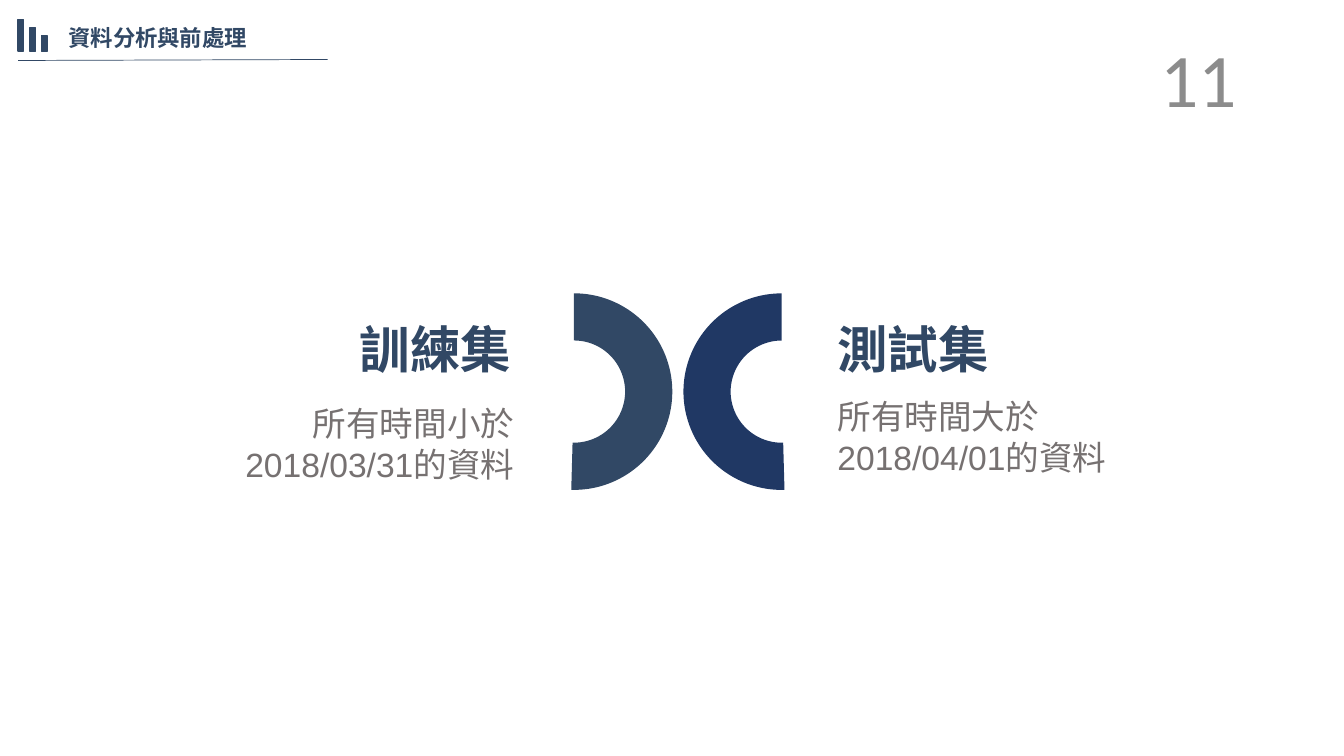
from dataclasses import dataclass

from pptx import Presentation
from pptx.dml.color import RGBColor
from pptx.enum.shapes import MSO_CONNECTOR, MSO_SHAPE
from pptx.enum.text import MSO_ANCHOR, MSO_AUTO_SIZE, PP_ALIGN
from pptx.oxml.ns import qn
from pptx.slide import Slide
from pptx.util import Pt
from lxml import etree

LEFT, RIGHT, JUSTIFY = PP_ALIGN.LEFT, PP_ALIGN.RIGHT, PP_ALIGN.JUSTIFY
TOP, MIDDLE = MSO_ANCHOR.TOP, MSO_ANCHOR.MIDDLE
GROW, FIXED = MSO_AUTO_SIZE.SHAPE_TO_FIT_TEXT, MSO_AUTO_SIZE.NONE
RECTANGLE, BLOCK_ARC = MSO_SHAPE.RECTANGLE, MSO_SHAPE.BLOCK_ARC
STRAIGHT = MSO_CONNECTOR.STRAIGHT

SLATE = RGBColor(0x31, 0x48, 0x65)
NAVY = RGBColor(0x20, 0x38, 0x64)
TEXT_GRAY = RGBColor(0x76, 0x71, 0x71)
NUMBER_GRAY = RGBColor(0x8C, 0x8C, 0x8C)

ARC_TOP, ARC_SIZE = 209.5, 140.4
BAR_LEFT, BAR_STEP, BAR_WIDTH, BAR_BOTTOM = 13, 8.4, 3.8, 36.6
BAR_HEIGHTS = (22.6, 16.8, 11.3)


@dataclass
class Arc:
    left: float
    rotation: float
    color: RGBColor
    adjustments: tuple[float, float, float]


@dataclass
class Label:
    lines: tuple[str, ...]
    left: float
    top: float
    width: float
    height: float
    format: dict[str, object]
    alignment: PP_ALIGN = LEFT
    anchor: MSO_ANCHOR = TOP
    auto_size: MSO_AUTO_SIZE = GROW


HEADING = {"name": "Arial", "size": Pt(36), "bold": True}
BODY = {"name": "Arial", "size": Pt(24)}
SECTION = {"name": "Arial", "size": Pt(16), "bold": True}
NUMBER = {"name": "Calibri", "size": Pt(54)}
FORMAT_COLORS = ((HEADING, SLATE), (BODY, TEXT_GRAY), (SECTION, SLATE), (NUMBER, NUMBER_GRAY))
for text_format, text_color in FORMAT_COLORS:
    text_format["color"] = text_color

ARCS = (
    Arc(339.8, 90, SLATE, (108, 0.96, 0.24)),
    Arc(488.2, 270, NAVY, (107.04, 0, 0.24)),
)
LABELS = (
    Label(("測試集",), 591.1, 223.9, 158.4, 51.1, HEADING),
    Label(("所有時間大於", "2018/04/01的資料"), 591.1, 279.4, 291.6, 65.5, BODY),
    Label(("訓練集",), 213.8, 223.9, 158.4, 51.1, HEADING, RIGHT),
    Label(("所有時間小於", "2018/03/31的資料"), 82.8, 284.4, 291.6, 65.5, BODY, RIGHT),
    Label(("資料分析與前處理",), 41.8, 13.7, 191.5, 26.6, SECTION, JUSTIFY),
    Label(("11",), 674.6, 41, 216, 28.8, NUMBER, RIGHT, MIDDLE, FIXED),
)


def add_arc(slide: Slide, arc: Arc) -> None:
    shape = slide.shapes.add_shape(
        BLOCK_ARC, Pt(arc.left), Pt(ARC_TOP), Pt(ARC_SIZE), Pt(ARC_SIZE))
    for index, value in enumerate(arc.adjustments):
        shape.adjustments[index] = value
    shape.rotation = arc.rotation
    shape.shadow.inherit = False
    shape.fill.solid()
    shape.fill.fore_color.rgb = arc.color
    shape.line.fill.background()


def add_bar(slide: Slide, left: float, height: float) -> None:
    shape = slide.shapes.add_shape(
        RECTANGLE, Pt(left), Pt(BAR_BOTTOM - height), Pt(BAR_WIDTH), Pt(height))
    shape.shadow.inherit = False
    shape.fill.solid()
    shape.fill.fore_color.rgb = SLATE
    shape.line.color.rgb = SLATE
    shape.line.width = Pt(1)


def add_header_rule(slide: Slide) -> None:
    rule = slide.shapes.add_connector(STRAIGHT, Pt(13), Pt(43.2), Pt(234), Pt(42.5))
    rule.line.color.rgb = SLATE
    rule.line.width = Pt(0.5)
    etree.SubElement(rule._element.spPr, qn("a:effectLst"))


def add_label(slide: Slide, label: Label) -> None:
    box = slide.shapes.add_textbox(
        Pt(label.left), Pt(label.top), Pt(label.width), Pt(label.height))
    frame = box.text_frame
    frame.word_wrap = True
    frame.auto_size = label.auto_size
    frame.vertical_anchor = label.anchor
    frame.text = "\n".join(label.lines)
    for paragraph in frame.paragraphs:
        paragraph.alignment = label.alignment
        font = paragraph.runs[0].font
        for name, value in label.format.items():
            if name == "color":
                font.color.rgb = value
            else:
                setattr(font, name, value)


def main() -> None:
    presentation = Presentation()
    presentation.slide_width, presentation.slide_height = Pt(960), Pt(540)
    slide = presentation.slides.add_slide(presentation.slide_layouts[6])

    # Facing arcs in the centre
    for arc in ARCS:
        add_arc(slide, arc)

    # Header rule and bar icon
    add_header_rule(slide)
    for index, height in enumerate(BAR_HEIGHTS):
        add_bar(slide, BAR_LEFT + index * BAR_STEP, height)

    # Section title, data set texts and page number
    for label in LABELS:
        add_label(slide, label)

    presentation.save("out.pptx")


if __name__ == "__main__":
    main()
